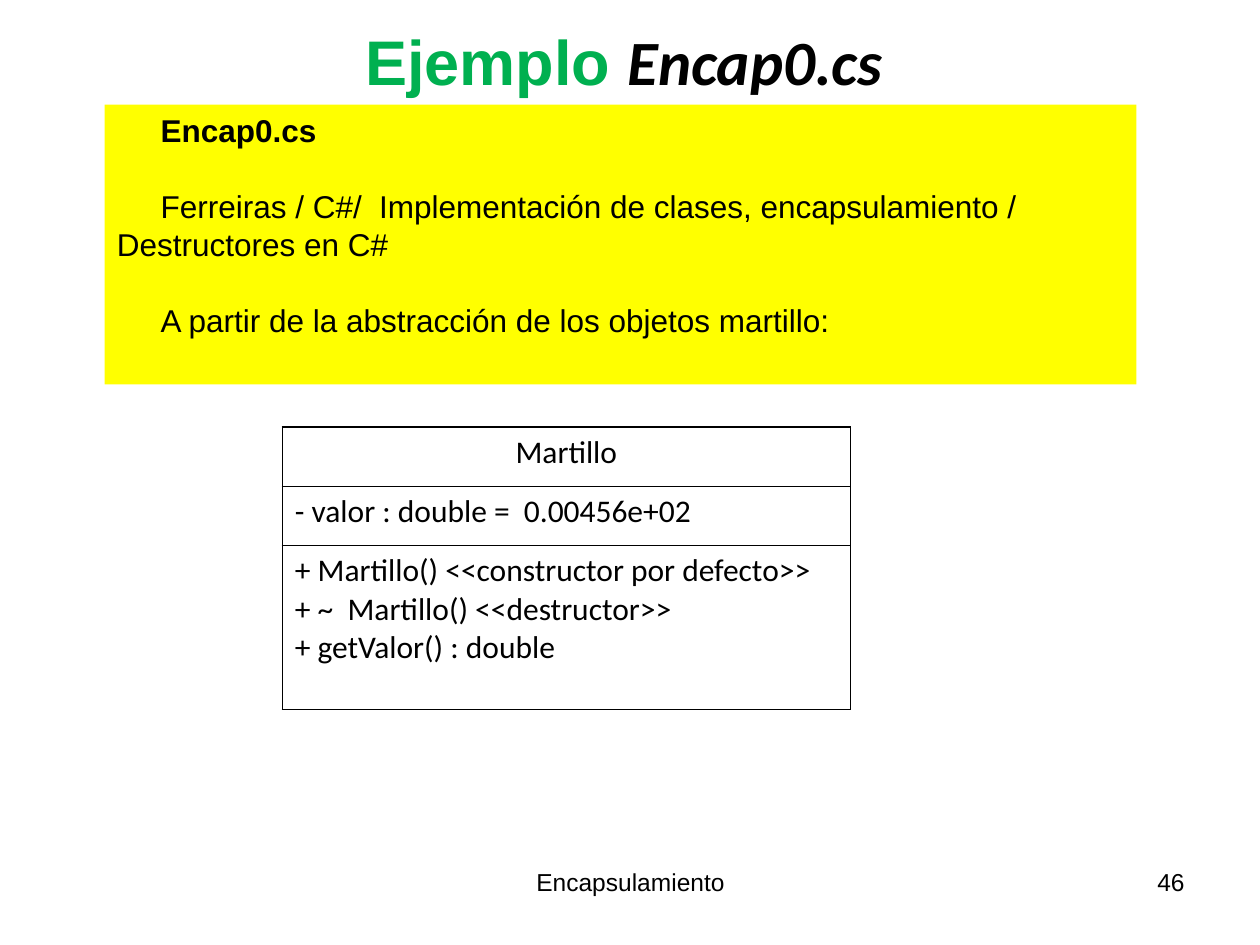
from dataclasses import dataclass
from typing import NamedTuple

from lxml.etree import SubElement
from pptx import Presentation
from pptx.dml.color import RGBColor
from pptx.enum.shapes import MSO_SHAPE
from pptx.enum.text import MSO_ANCHOR, PP_ALIGN
from pptx.oxml.ns import qn
from pptx.util import Inches, Pt


@dataclass(frozen=True)
class Theme:
    ink: RGBColor = RGBColor(0x00, 0x00, 0x00)
    accent: RGBColor = RGBColor(0x00, 0xB0, 0x50)
    panel: RGBColor = RGBColor(0xFF, 0xFF, 0x00)
    border: str = "000000"
    border_width: int = Pt(1)
    sans: str = "Arial"
    body: str = "Calibri"
    title_size: int = Pt(36)
    text_size: int = Pt(18)
    footer_size: int = Pt(14)
    gap: int = Pt(22)
    indent: int = Pt(25)


class Box(NamedTuple):
    x: int
    y: int
    w: int
    h: int


THEME = Theme()
COLS, ROWS = 100, 75
WIDTH, HEIGHT = Inches(10), Inches(7.5)


def grid(col, row, cols, rows):
    return Box(int(WIDTH * col / COLS), int(HEIGHT * row / ROWS),
               int(WIDTH * cols / COLS), int(HEIGHT * rows / ROWS))


def set_font(font, name, size, color=THEME.ink, bold=False):
    font.name, font.size, font.bold = name, size, bold
    font.color.rgb = color


def add_label(s, box, text="", size=THEME.footer_size, align=PP_ALIGN.CENTER):
    tf = s.shapes.add_textbox(*box).text_frame
    tf.word_wrap = True
    p = tf.paragraphs[0]
    p.text, p.alignment = text, align
    set_font(p.font, THEME.sans, size)
    return tf


def add_title(s, box, label, file_name):
    tf = add_label(s, box, size=THEME.title_size)
    tf.vertical_anchor = MSO_ANCHOR.MIDDLE
    p = tf.paragraphs[0]
    r = p.add_run()
    r.text = label
    set_font(r.font, THEME.sans, THEME.title_size, THEME.accent, bold=True)
    r = p.add_run()
    r.text = file_name
    set_font(r.font, THEME.body, THEME.title_size, bold=True)
    r.font.italic = True


def add_panel(s, box, heading, *lines):
    sp = s.shapes.add_shape(MSO_SHAPE.RECTANGLE, *box)
    sp.shadow.inherit = False
    sp.fill.solid()
    sp.fill.fore_color.rgb = THEME.panel
    sp.line.fill.background()
    tf = sp.text_frame
    tf.word_wrap = True
    tf.vertical_anchor = MSO_ANCHOR.TOP
    for i, text in enumerate((heading, *lines)):
        p = tf.add_paragraph() if i else tf.paragraphs[0]
        p.text, p.alignment = text, PP_ALIGN.LEFT
        p.space_after = THEME.gap
        p._p.get_or_add_pPr().set("indent", str(THEME.indent))
        set_font(p.font, THEME.sans, THEME.text_size, bold=i == 0)


def add_borders(cell):
    tcPr = cell._tc.get_or_add_tcPr()
    for side in ("a:lnL", "a:lnR", "a:lnT", "a:lnB"):
        ln = SubElement(tcPr, qn(side), w=str(THEME.border_width))
        fill = SubElement(ln, qn("a:solidFill"))
        SubElement(fill, qn("a:srgbClr"), val=THEME.border)


def add_class_diagram(s, box, sections, shares):
    table = s.shapes.add_table(len(sections), 1, *box).table
    table.first_row = table.horz_banding = False
    for i, (lines, share) in enumerate(zip(sections, shares)):
        table.rows[i].height = int(box.h * share)
        cell = table.cell(i, 0)
        cell.text = "\n".join(lines)
        for p in cell.text_frame.paragraphs:
            p.alignment = PP_ALIGN.LEFT if i else PP_ALIGN.CENTER
            set_font(p.font, THEME.body, THEME.text_size)
        add_borders(cell)
        cell.fill.background()


def main():
    prs = Presentation()
    prs.slide_width, prs.slide_height = WIDTH, HEIGHT
    s = prs.slides.add_slide(prs.slide_layouts[6])
    add_title(s, grid(5.1, 0.5, 90, 8.5), "Ejemplo ", "Encap0.cs ")
    add_panel(
        s, grid(8.3, 8.3, 81.9, 22.2),
        "Encap0.cs",
        "Ferreiras / C#/  Implementación de clases, encapsulamiento / Destructores en C#",
        "A partir de la abstracción de los objetos martillo:",
    )
    add_label(s, grid(71.7, 68.3, 23.3, 5.2), "46", align=PP_ALIGN.RIGHT)
    add_label(s, grid(34.2, 68.3, 31.7, 5.2), "Encapsulamiento")
    add_class_diagram(
        s, grid(22.4, 33.9, 45.1, 22.4),
        [
            ["Martillo"],
            ["- valor : double =  0.00456e+02"],
            ["+ Martillo() <<constructor por defecto>>",
             "+ ~  Martillo() <<destructor>>",
             "+ getValor() : double"],
        ],
        (0.21, 0.21, 0.58),
    )
    prs.save("out.pptx")


if __name__ == "__main__":
    main()
